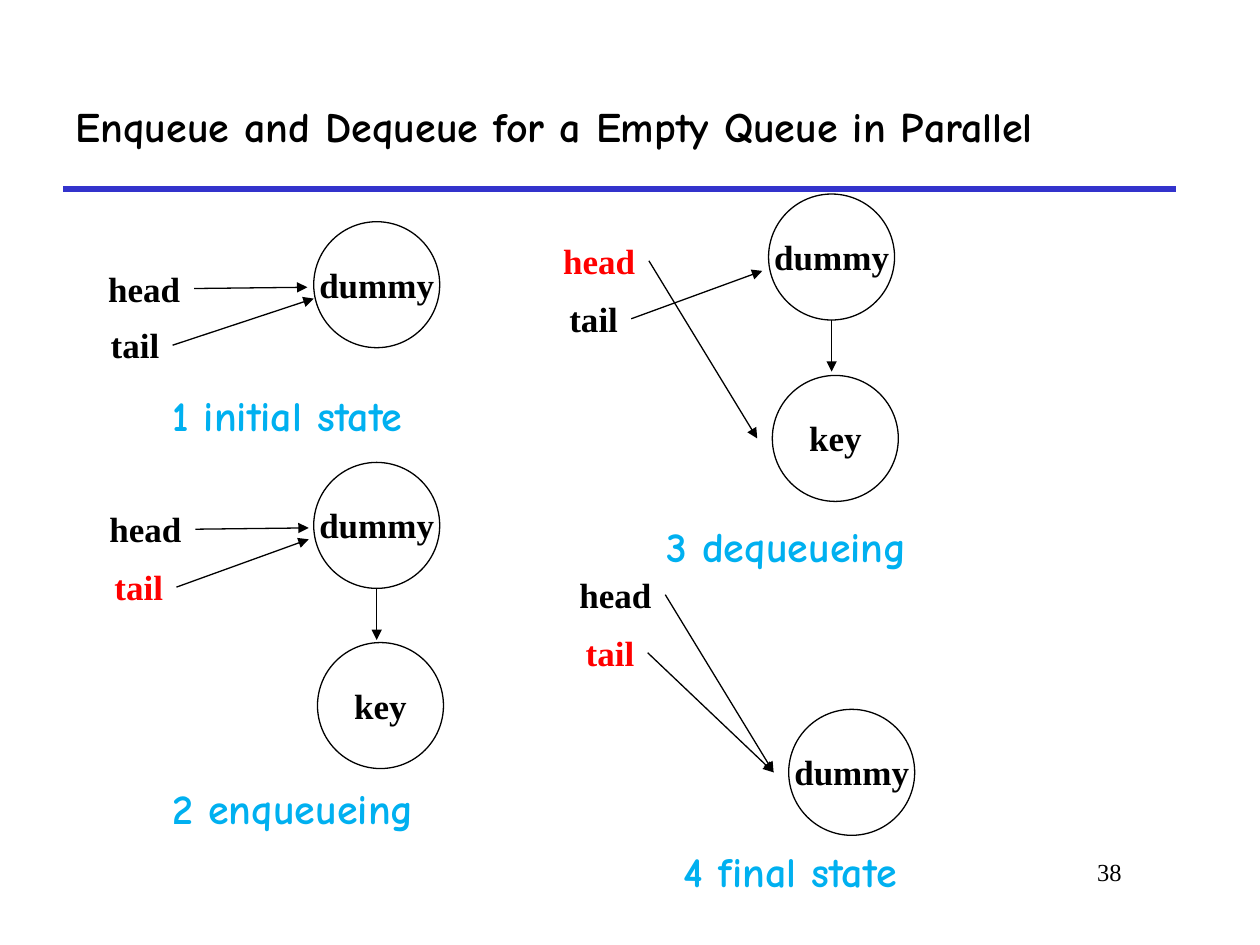
from pptx import Presentation
from pptx import util as u
from pptx.dml.color import RGBColor
from pptx.enum import shapes, text
from pptx.oxml.ns import qn
from lxml import etree

COLORS = {"ink": "000000", "changed": "FF0000", "caption": "00B0F0", "rule": "3333CC"}
SERIF, COMIC = "Times New Roman", "Comic Neue"
TITLE = "Enqueue and Dequeue for a Empty Queue in Parallel"
PAGE_NUMBER = "38"

# Nodes and pointers are placed by their top left corner; "to" is an arrow's tip.
STATES = [
    {"caption": ("1 initial state", 1.27, 3.04),
     "nodes": [("dummy", 2.49, 1.76)],
     "pointers": [("tail", 0.78, 2.52, "ink", (2.49, 2.37)),
                  ("head", 0.76, 2.07, "ink", (2.44, 2.28))]},
    {"caption": ("2 enqueueing", 1.27, 6.16),
     "nodes": [("dummy", 2.49, 3.67), ("key", 2.52, 5.1)],
     "pointers": [("tail", 0.81, 4.44, "changed", (2.45, 4.28)),
                  ("head", 0.77, 3.98, "ink", (2.45, 4.19))]},
    {"caption": ("3 dequeueing", 5.19, 4.08),
     "nodes": [("dummy", 6.1, 1.54), ("key", 6.13, 2.98)],
     "pointers": [("tail", 4.42, 2.31, "ink", (6.05, 2.15)),
                  ("head", 4.37, 1.85, "changed", (6.01, 3.48))]},
    {"caption": ("4 final state", 5.33, 6.66),
     "nodes": [("dummy", 6.26, 5.63)],
     "pointers": [("tail", 4.55, 4.96, "changed", (6.14, 6.13)),
                  ("head", 4.5, 4.5, "ink", (6.14, 6.13))]},
]

NODE_SIZE = 1
LABEL_WIDTH, LABEL_HEIGHT, LABEL_DROP = 1.25, 0.44, 0.28
POINTER_WIDTHS = {"head": 0.78, "tail": 0.59}
LINK_LENGTH = 0.41


def inches(*lengths):
    return [u.Inches(length) for length in lengths]


def rgb(name):
    return RGBColor.from_string(COLORS[name])


def write(frame, words, font, size, color, bold=True, align=text.PP_ALIGN.LEFT):
    para = frame.paragraphs[0]
    para.text = words
    para.alignment = align
    para.font.name, para.font.size, para.font.bold = font, u.Pt(size), bold
    para.font.color.rgb = rgb(color)


def add_text(parent, words, area, font, size, color, wrap=True, **style):
    frame = parent.shapes.add_textbox(*inches(*area)).text_frame
    frame.word_wrap = wrap
    write(frame, words, font, size, color, **style)


def add_line(parent, start, end, color="ink", width=0.75, arrow=True):
    line = parent.shapes.add_connector(shapes.MSO_CONNECTOR.STRAIGHT, *inches(*start, *end))
    line.line.color.rgb = rgb(color)
    line.line.width = u.Pt(width)
    if arrow:
        etree.SubElement(line.line._get_or_add_ln(), qn("a:tailEnd"), type="triangle")
    etree.SubElement(line._element.spPr, qn("a:effectLst"))


def add_node(parent, label, left, top):
    circle = parent.shapes.add_shape(
        shapes.MSO_SHAPE.OVAL, *inches(left, top, NODE_SIZE, NODE_SIZE))
    circle.shadow.inherit = False
    circle.fill.background()
    circle.line.color.rgb = rgb("ink")
    circle.line.width = u.Pt(0.75)
    area = (left + (NODE_SIZE - LABEL_WIDTH) / 2, top + LABEL_DROP, LABEL_WIDTH, LABEL_HEIGHT)
    add_text(parent, label, area, SERIF, 20, "ink", align=text.PP_ALIGN.CENTER)


def add_pointer(parent, name, left, top, color, tip):
    width = POINTER_WIDTHS[name]
    add_text(parent, name, (left, top, width, LABEL_HEIGHT), SERIF, 20, color,
             wrap=name != "head")
    add_line(parent, (left + width, top + LABEL_HEIGHT / 2), tip)


def add_state(slide, state):
    group = slide.shapes.add_group_shape()
    for node in state["nodes"]:
        add_node(group, *node)
    for _, left, top in state["nodes"][:-1]:
        middle, bottom = left + NODE_SIZE / 2, top + NODE_SIZE
        add_line(group, (middle, bottom), (middle, bottom + LINK_LENGTH))
    for pointer in state["pointers"]:
        add_pointer(group, *pointer)
    words, left, top = state["caption"]
    add_text(slide, words, (left, top, 2.81, 0.51), COMIC, 24, "caption")


def main():
    deck = Presentation()
    deck.slide_width, deck.slide_height = inches(10, 7.5)
    slide = deck.slides.add_slide(deck.slide_layouts[5])

    title = slide.shapes.title
    title.left, title.top, title.width, title.height = inches(0.5, 0.5, 8.83, 1)
    title.text_frame.vertical_anchor = text.MSO_ANCHOR.MIDDLE
    write(title.text_frame, TITLE, COMIC, 24, "ink")

    add_line(slide, (0.5, 1.5), (9.33, 1.5), "rule", 3, arrow=False)
    add_text(slide, PAGE_NUMBER, (7.58, 6.75, 1.42, 0.5), SERIF, 14, "ink",
             bold=False, align=text.PP_ALIGN.RIGHT)
    for state in STATES:
        add_state(slide, state)
    deck.save("out.pptx")


if __name__ == "__main__":
    main()
